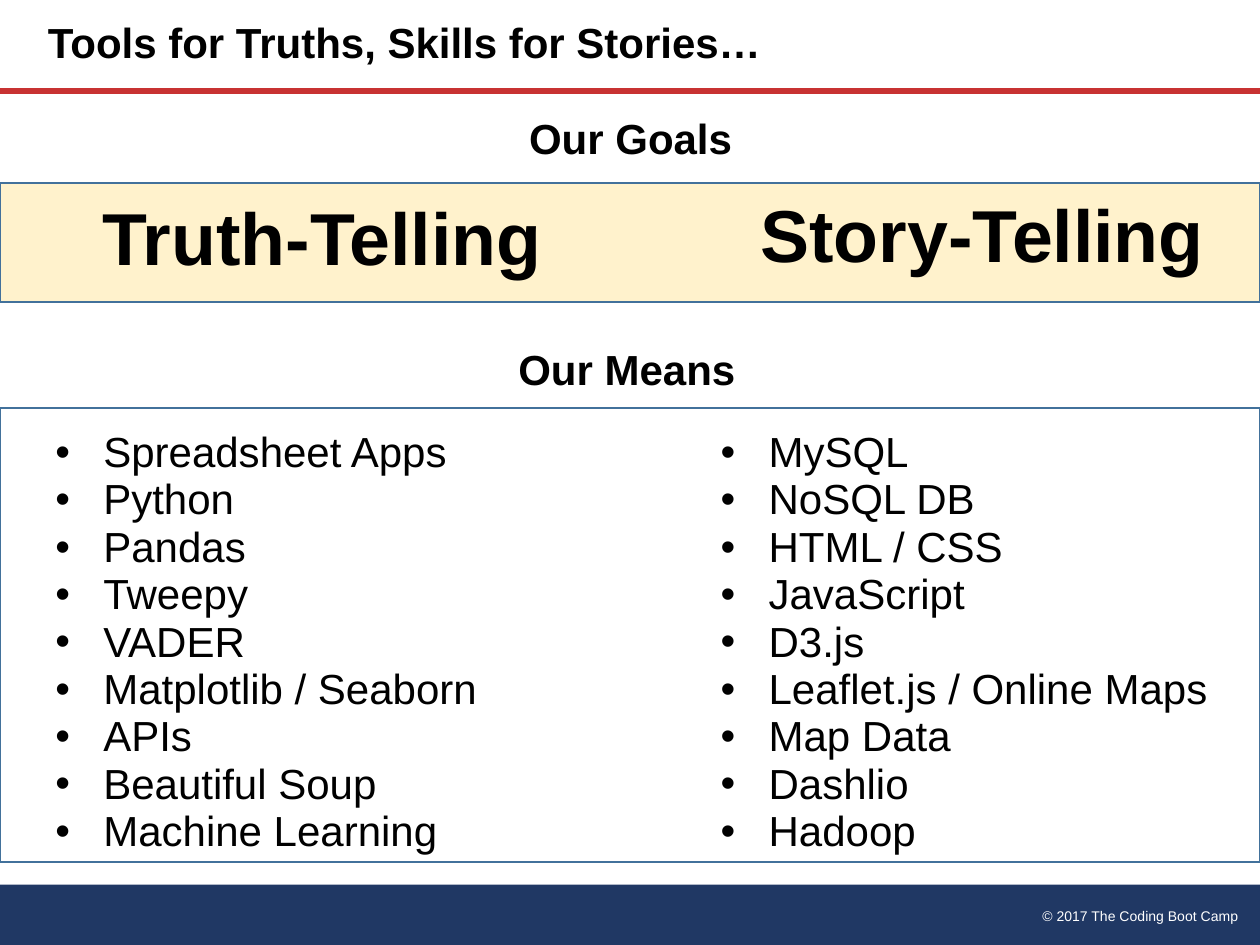
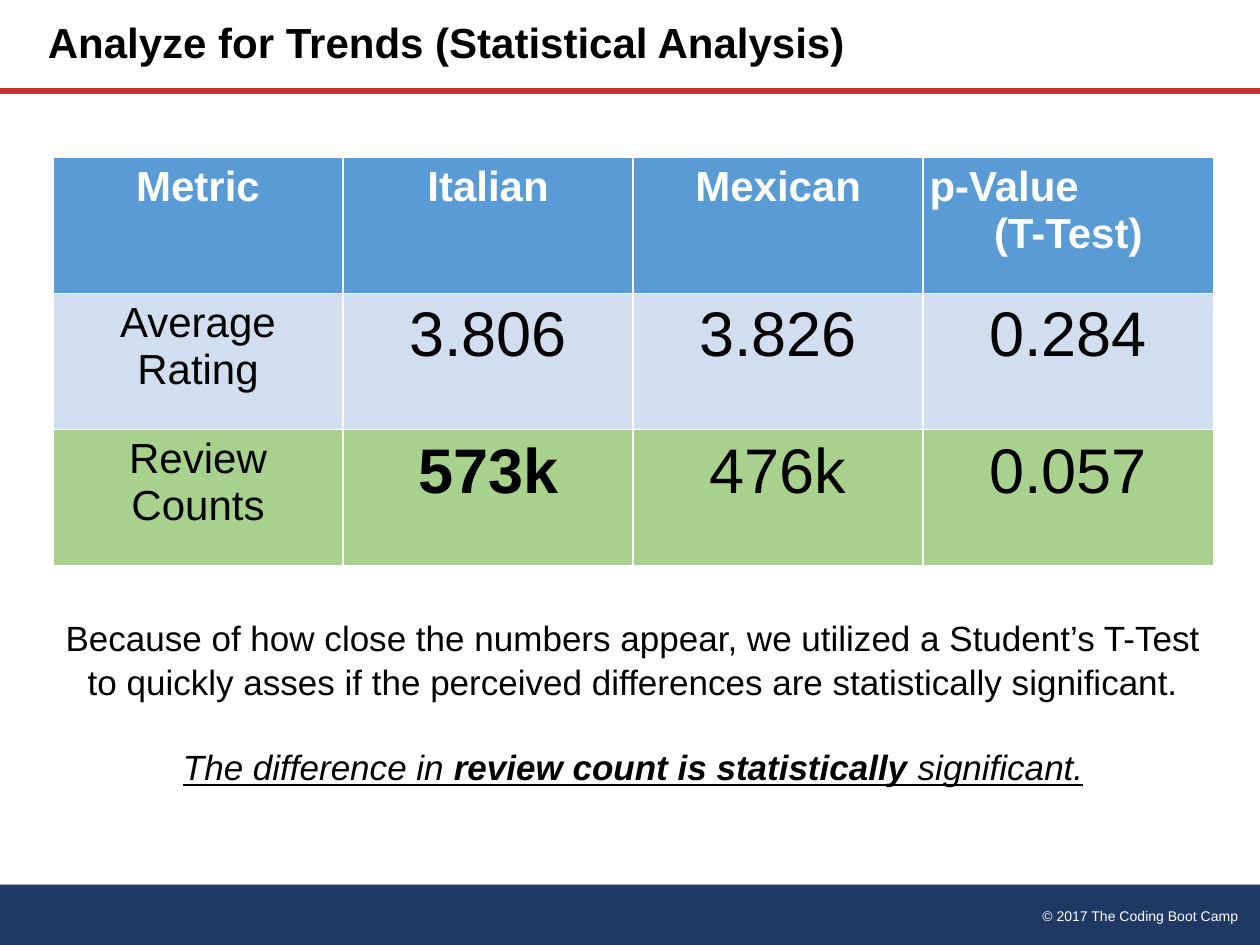
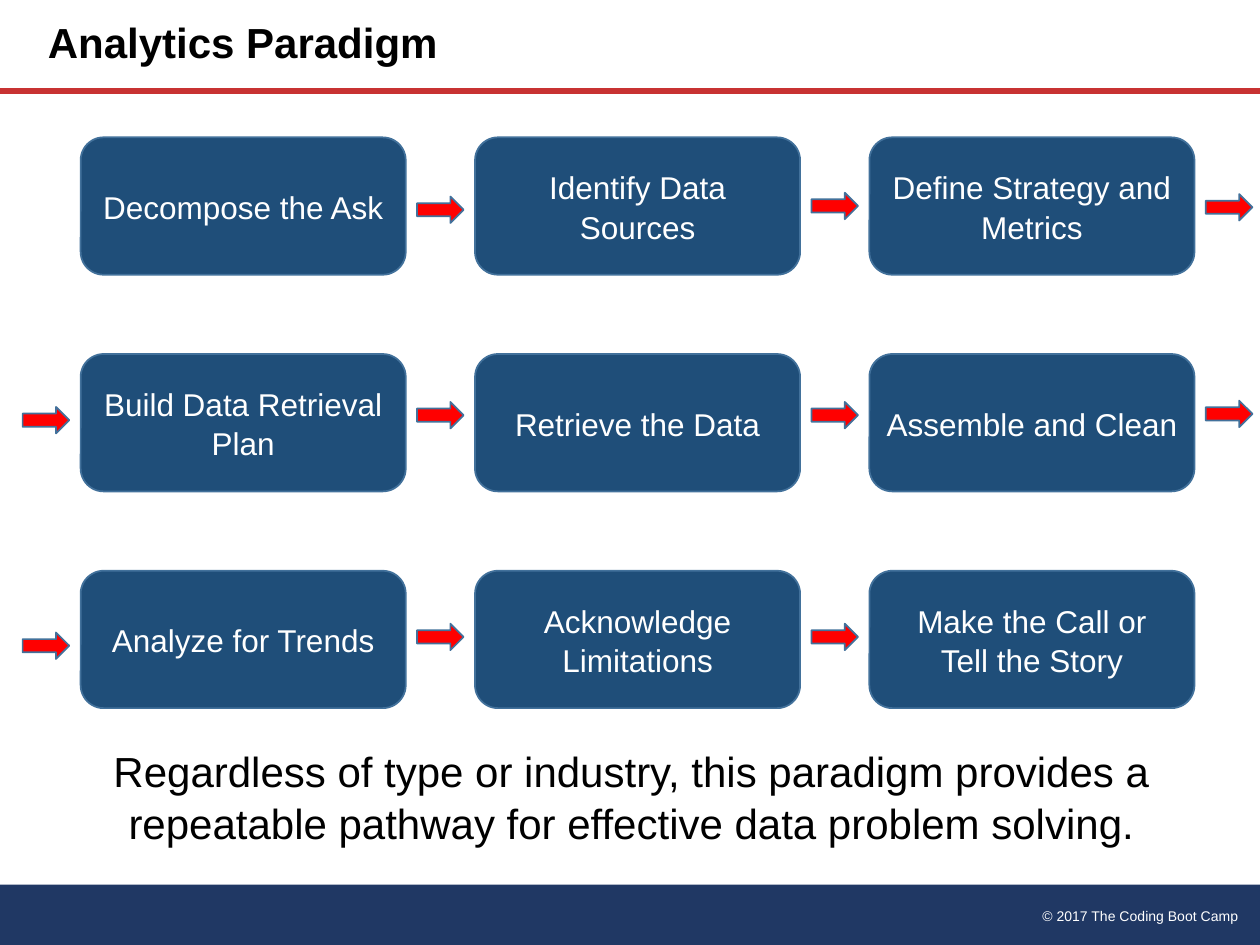
from dataclasses import dataclass

from pptx import Presentation
from pptx.dml.color import RGBColor
from pptx.enum.shapes import MSO_CONNECTOR, MSO_SHAPE
from pptx.enum.text import MSO_ANCHOR, MSO_AUTO_SIZE, PP_ALIGN
from pptx.oxml.ns import qn
from pptx.util import Inches, Pt

LEFT, CENTER, RIGHT = PP_ALIGN.LEFT, PP_ALIGN.CENTER, PP_ALIGN.RIGHT
TOP, MIDDLE = MSO_ANCHOR.TOP, MSO_ANCHOR.MIDDLE
NO_AUTOFIT = MSO_AUTO_SIZE.NONE
RECT, ROUNDED, ARROW = MSO_SHAPE.RECTANGLE, MSO_SHAPE.ROUNDED_RECTANGLE, MSO_SHAPE.RIGHT_ARROW
STRAIGHT = MSO_CONNECTOR.STRAIGHT
TWO_CONTENT, TITLE_ONLY = 3, 5


@dataclass(frozen=True)
class Theme:
    """Colours, type sizes and spacing of the deck."""

    font: str = "Arial"
    text: str = "000000"
    white: str = "FFFFFF"
    navy: str = "203864"
    rule: str = "C83232"
    outline: str = "42719B"
    goals: str = "FFF2CC"
    step: str = "1F4E79"
    arrow: str = "FF0000"
    table_head: str = "5B9BD5"
    table_plain: str = "D0DEEF"
    table_marked: str = "A9D18E"
    footer_size: int = 8
    step_size: int = 18
    note_size: int = 20
    main_size: int = 24
    figure_size: int = 36
    goal_size: int = 42
    inset: float = 0.05
    tight: float = 0.9
    list_spacing: float = 0.94
    loose: float = 1.04


@dataclass(frozen=True)
class Box:
    """A region of the slide in inches."""

    left: float
    top: float
    width: float
    height: float

    def within(self, left, top, width, height):
        """Return a box placed relative to this one."""
        return Box(self.left + left, self.top + top, width, height)

    def lengths(self):
        """Return left, top, width and height as lengths."""
        return [Inches(v) for v in (self.left, self.top, self.width, self.height)]


THEME = Theme()
CONTENT = Box(0, 0.72, 10, 6.3)

ANALYSIS_TOOLS = ["Spreadsheet Apps", "Python", "Pandas", "Tweepy", "VADER",
                  "Matplotlib / Seaborn", "APIs", "Beautiful Soup", "Machine Learning"]
STORY_TOOLS = ["MySQL", "NoSQL DB", "HTML / CSS", "JavaScript", "D3.js",
               "Leaflet.js / Online Maps", "Map Data", "Dashlio", "Hadoop"]

METRIC_HEADS = ["Metric", "Italian", "Mexican", "p-Value"]
METRIC_ROWS = [
    (["Average Rating", "3.806", "3.826", "0.284"], THEME.table_plain, None),
    (["Review Counts", "573k", "476k", "0.057"], THEME.table_marked, "573k"),
]

STEP_ROWS = [
    ([["Decompose the Ask"], ["Identify Data Sources"], ["Define Strategy and Metrics"]],
     {1: 0.47, 2: 0.44, 3: 0.45}),
    ([["Build Data Retrieval Plan"], ["Retrieve the Data"], ["Assemble and Clean"]],
     {0: 0.42, 1: 0.38, 2: 0.38, 3: 0.37}),
    ([["Analyze for Trends"], ["Acknowledge Limitations"],
      ["Make the Call or", "Tell the Story"]],
     {0: 0.49, 1: 0.42, 2: 0.42}),
]


def rgb(value):
    """Turn a hex string into a colour."""
    return RGBColor.from_string(value)


def add_run(paragraph, text, size, color=THEME.text, bold=False, italic=False, underline=False):
    """Append one formatted run."""
    run = paragraph.add_run()
    run.text = text
    font = run.font
    font.name, font.size = THEME.font, Pt(size)
    font.bold, font.italic, font.underline = bold, italic, underline
    font.color.rgb = rgb(color)


def set_frame(frame, anchor):
    """Give a text frame the deck's insets, wrapping and anchor."""
    frame.word_wrap = True
    frame.auto_size = NO_AUTOFIT
    frame.vertical_anchor = anchor
    frame.margin_left = frame.margin_right = Inches(THEME.inset)
    frame.margin_top = frame.margin_bottom = Inches(THEME.inset)


def write_lines(frame, lines, size, align=CENTER, spacing=1.0, **style):
    """Write one paragraph for each line and return the paragraphs."""
    paragraphs = [frame.paragraphs[0]] + [frame.add_paragraph() for _ in lines[1:]]
    for paragraph, line in zip(paragraphs, lines):
        paragraph.alignment = align
        paragraph.line_spacing = spacing
        paragraph.space_before = Pt(0)
        add_run(paragraph, line, size, **style)
    return paragraphs


def add_text(slide, box, lines, size, anchor=TOP, **style):
    """Add a text box and return its frame."""
    frame = slide.shapes.add_textbox(*box.lengths()).text_frame
    set_frame(frame, anchor)
    write_lines(frame, lines, size, **style)
    return frame


def add_block(slide, kind, box, fill=None, outline=None):
    """Add a flat preset shape with optional fill and outline."""
    block = slide.shapes.add_shape(kind, *box.lengths())
    block.shadow.inherit = False
    if fill:
        block.fill.solid()
        block.fill.fore_color.rgb = rgb(fill)
    else:
        block.fill.background()
    if outline:
        block.line.color.rgb = rgb(outline)
        block.line.width = Pt(1)
    else:
        block.line.fill.background()
    return block


def add_title_rule(slide, box):
    """Draw the red rule along the top of a box."""
    left, top, width, _ = box.lengths()
    rule = slide.shapes.add_connector(STRAIGHT, left, top, left + width, top)
    rule.line.color.rgb = rgb(THEME.rule)
    rule.line.width = Pt(3.25)
    properties = rule.element.spPr
    properties.append(properties.makeelement(qn("a:effectLst"), {}))


def dress_master(prs, slide):
    """Build the footer band and title rule and move them to the master."""
    before = len(slide.shapes)
    footer = Box(0, 7.02, 10, 0.48)
    add_block(slide, RECT, footer, THEME.navy)
    add_text(slide, footer.within(6.83, 0.13, 3.05, 0.22), ["© 2017 The Coding Boot Camp"],
             THEME.footer_size, align=RIGHT, color=THEME.white)
    add_title_rule(slide, CONTENT)
    for number, shape in enumerate(list(slide.shapes)[before:], start=101):
        shape.element.xpath(".//p:cNvPr")[0].set("id", str(number))
        prs.slide_master.shapes.element.append(shape.element)


def place(placeholder, box):
    """Move a placeholder to a box."""
    (placeholder.left, placeholder.top,
     placeholder.width, placeholder.height) = box.lengths()


def new_slide(prs, layout, title):
    """Add a slide with its title."""
    slide = prs.slides.add_slide(prs.slide_layouts[layout])
    place(slide.shapes.title, Box(0.33, 0, 6.92, 0.72))
    frame = slide.shapes.title.text_frame
    set_frame(frame, MIDDLE)
    write_lines(frame, [title], THEME.main_size, align=LEFT, spacing=THEME.tight, bold=True)
    return slide


def fill_list(placeholder, box, items):
    """Write a bulleted list into a body placeholder."""
    place(placeholder, box)
    set_frame(placeholder.text_frame, TOP)
    indent = Inches(0.38)
    for paragraph in write_lines(placeholder.text_frame, items, THEME.main_size,
                                 align=LEFT, spacing=THEME.list_spacing):
        properties = paragraph._p.get_or_add_pPr()
        properties.set("marL", str(indent))
        properties.set("indent", str(-indent))


def add_heading(slide, box, text, size):
    """Add a bold centred heading."""
    add_text(slide, box, [text], size, anchor=MIDDLE, spacing=THEME.tight, bold=True)


def add_goals(slide, box):
    """Draw the goals heading and its tinted band."""
    add_heading(slide, box.within(2.88, 0, 4.25, 0.48), "Our Goals", THEME.main_size)
    add_block(slide, RECT, box.within(0, 0.57, box.width, 0.95), THEME.goals, THEME.outline)
    for left, top, goal in ((0.43, 0.66, "Truth-Telling"), (5.67, 0.64, "Story-Telling")):
        add_heading(slide, box.within(left, top, 4.25, 0.75), goal, THEME.goal_size)


def add_means(slide, box):
    """Draw the means heading, its frame and the two tool lists."""
    add_heading(slide, box.within(2.85, 0, 4.25, 0.48), "Our Means", THEME.main_size)
    add_block(slide, RECT, box.within(0, 0.53, box.width, 3.6), outline=THEME.outline)
    bodies = [p for p in slide.placeholders if p.placeholder_format.idx in (1, 2)]
    for body, left, tools in zip(bodies, (0.39, 5.67), (ANALYSIS_TOOLS, STORY_TOOLS)):
        fill_list(body, box.within(left, 0.65, 4.33, 3.29), tools)


def fill_cell(cell, lines, size, fill, **style):
    """Fill one table cell and return its paragraphs."""
    cell.fill.solid()
    cell.fill.fore_color.rgb = rgb(fill)
    cell.margin_left = cell.margin_right = Inches(THEME.inset)
    cell.margin_top = cell.margin_bottom = Inches(THEME.inset)
    return write_lines(cell.text_frame, lines, size, **style)


def add_metrics(slide, box):
    """Add the table that compares the two cuisines."""
    table = slide.shapes.add_table(len(METRIC_ROWS) + 1, len(METRIC_HEADS),
                                   *box.lengths()).table
    for column, head in enumerate(METRIC_HEADS):
        lines = [head, "(T-Test)"] if head == "p-Value" else [head]
        paragraphs = fill_cell(table.cell(0, column), lines, THEME.main_size,
                               THEME.table_head, color=THEME.white, bold=True)
        if len(lines) > 1:
            paragraphs[0].alignment = LEFT
    for row, (values, fill, winner) in enumerate(METRIC_ROWS, start=1):
        for column, value in enumerate(values):
            size = THEME.figure_size if column else THEME.main_size
            fill_cell(table.cell(row, column), [value], size, fill, bold=value == winner)


def add_finding(slide, box):
    """Explain the test and state its result."""
    frame = add_text(slide, box, [
        "Because of how close the numbers appear, we utilized a Student’s T-Test to quickly "
        "asses if the perceived differences are statistically significant."],
        THEME.note_size, spacing=THEME.loose)
    result = frame.add_paragraph()
    result.alignment = CENTER
    result.line_spacing = THEME.loose
    result.space_before = Pt(24)
    for text, bold in (("The difference in ", False),
                       ("review count is statistically ", True),
                       ("significant.", False)):
        add_run(result, text, THEME.note_size, bold=bold, italic=True, underline=True)


def add_step(slide, box, lines):
    """Draw one step of the paradigm."""
    step = add_block(slide, ROUNDED, box, THEME.step, THEME.outline)
    set_frame(step.text_frame, MIDDLE)
    write_lines(step.text_frame, lines, THEME.step_size, spacing=THEME.loose, color=THEME.white)


def add_step_grid(slide, box):
    """Lay out the steps in rows with arrows between them."""
    across, down = 3.13, 1.72
    for row, (steps, arrow_drops) in enumerate(STEP_ROWS):
        for column, lines in enumerate(steps):
            add_step(slide, box.within(column * across, row * down, 2.58, 1.09), lines)
        for column, drop in arrow_drops.items():
            add_block(slide, ARROW,
                      box.within(column * across - 0.46, row * down + drop, 0.37, 0.21),
                      THEME.arrow, THEME.outline)


def build_tools(prs):
    """Build the slide of goals and means."""
    slide = new_slide(prs, TWO_CONTENT, "Tools for Truths, Skills for Stories…")
    dress_master(prs, slide)
    add_goals(slide, CONTENT.within(0, 0.16, 10, 1.52))
    add_means(slide, CONTENT.within(0, 1.99, 10, 4.13))


def build_trends(prs):
    """Build the slide of statistical results."""
    slide = new_slide(prs, TITLE_ONLY, "Analyze for Trends (Statistical Analysis)")
    add_metrics(slide, CONTENT.within(0.42, 0.53, 9.21, 3.24))
    add_finding(slide, CONTENT.within(0.42, 4.11, 9.21, 1.37))


def build_paradigm(prs):
    """Build the slide of the nine steps."""
    slide = new_slide(prs, TITLE_ONLY, "Analytics Paradigm")
    add_step_grid(slide, CONTENT.within(0.64, 0.37, 8.84, 4.53))
    add_text(slide, CONTENT.within(0.37, 5.13, 9.28, 0.87), [
        "Regardless of type or industry, this paradigm provides a repeatable pathway "
        "for effective data problem solving."], THEME.main_size, spacing=THEME.loose)


def main():
    """Build and save the deck."""
    prs = Presentation()
    prs.slide_width, prs.slide_height = Inches(10), Inches(7.5)
    build_tools(prs)
    build_trends(prs)
    build_paradigm(prs)
    prs.save("out.pptx")


if __name__ == "__main__":
    main()
